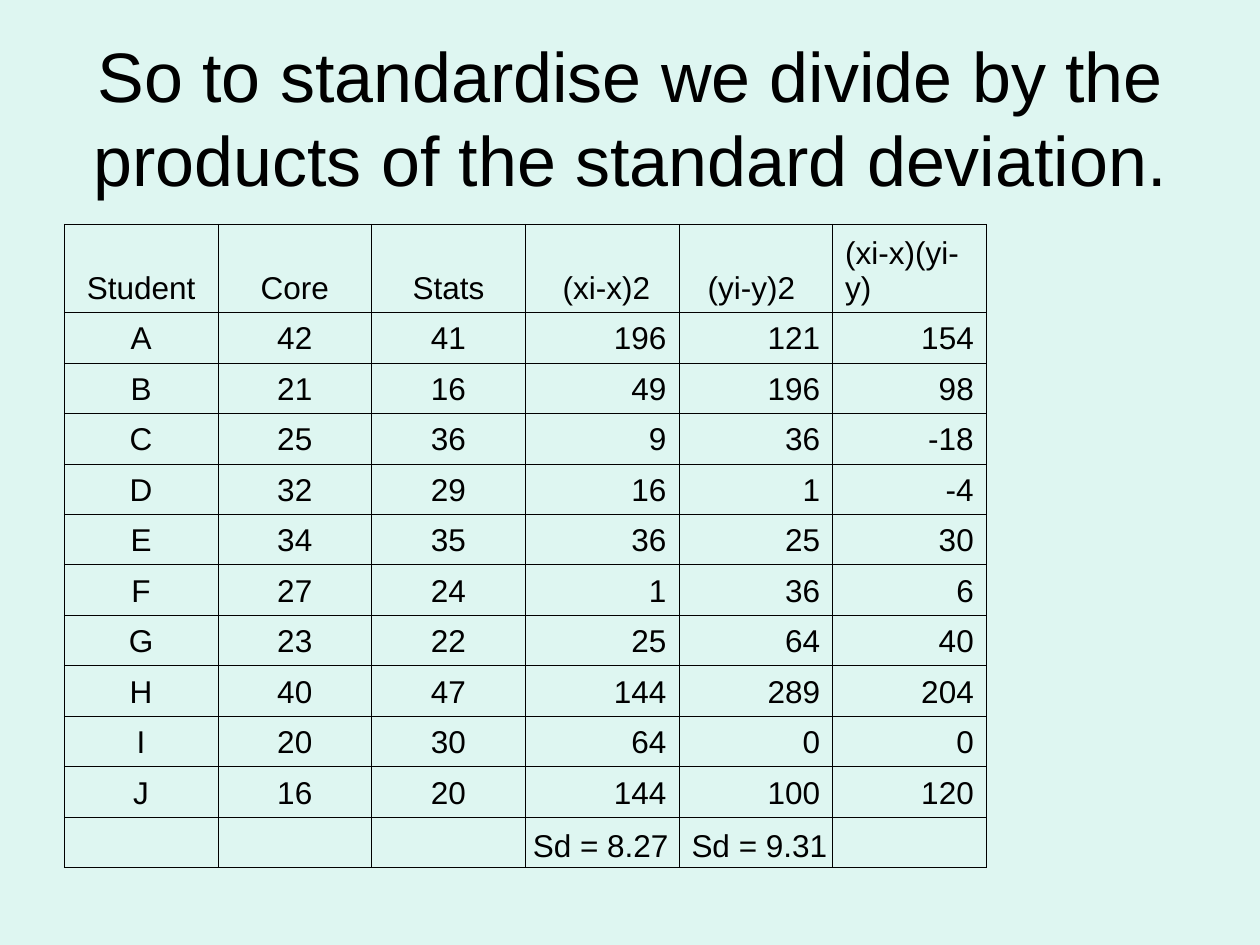
import lxml.etree
import pptx
import pptx.dml.color
import pptx.enum.text
import pptx.oxml.ns
import pptx.util

Inches = pptx.util.Inches
Align = pptx.enum.text.PP_ALIGN
Anchor = pptx.enum.text.MSO_ANCHOR

BACKGROUND = pptx.dml.color.RGBColor(0xDE, 0xF6, 0xF1)
BLACK = pptx.dml.color.RGBColor(0x00, 0x00, 0x00)

TITLE = "So to standardise we divide by the products of the standard deviation."
HEADINGS = ["Student", "Core", "Stats", " (xi-x)2", "(yi-y)2 ", "(xi-x)(yi-y) "]
HEADING_ALIGNMENTS = [Align.CENTER] * 5 + [Align.LEFT]
VALUE_ALIGNMENTS = [Align.CENTER] * 3 + [Align.RIGHT] * 3
SCORES = [
    ["A", 42, 41, 196, 121, 154],
    ["B", 21, 16, 49, 196, 98],
    ["C", 25, 36, 9, 36, -18],
    ["D", 32, 29, 16, 1, -4],
    ["E", 34, 35, 36, 25, 30],
    ["F", 27, 24, 1, 36, 6],
    ["G", 23, 22, 25, 64, 40],
    ["H", 40, 47, 144, 289, 204],
    ["I", 20, 30, 64, 0, 0],
    ["J", 16, 20, 144, 100, 120],
]


def write_text(text_frame, text, size=18, alignment=Align.LEFT):
    """Write one formatted paragraph into a text frame."""
    paragraph = text_frame.paragraphs[0]
    paragraph.alignment = alignment
    run = paragraph.add_run()
    run.text = text
    run.font.name = "Arial"
    run.font.size = pptx.util.Pt(size)
    run.font.bold = False
    run.font.color.rgb = BLACK


def add_label(slide, box, text, anchor=Anchor.TOP, **text_format):
    """Add a wrapping text box that fills the given box."""
    text_frame = slide.shapes.add_textbox(*map(Inches, box)).text_frame
    text_frame.word_wrap = True
    text_frame.vertical_anchor = anchor
    write_text(text_frame, text, **text_format)


def set_cell_borders(cell):
    """Draw a thin black line on every side of a cell."""
    properties = cell._tc.get_or_add_tcPr()
    qn = pptx.oxml.ns.qn
    for position, side in enumerate(("a:lnL", "a:lnR", "a:lnT", "a:lnB")):
        line = lxml.etree.Element(qn(side), w=str(pptx.util.Pt(0.45)))
        fill = lxml.etree.SubElement(line, qn("a:solidFill"))
        lxml.etree.SubElement(fill, qn("a:srgbClr"), val=str(BLACK))
        properties.insert(position, line)


def add_score_table(slide, box):
    """Add the table of scores, with an empty last row for the deviations."""
    left, top, width, height = box
    header_height = 0.7
    rows = [HEADINGS, *SCORES, [""] * len(HEADINGS)]
    table = slide.shapes.add_table(
        len(rows), len(HEADINGS), *map(Inches, box)
    ).table
    table.first_row = False
    table.horz_banding = False
    for column in table.columns:
        column.width = Inches(width / len(HEADINGS))
    for row_index, values in enumerate(rows):
        is_header = row_index == 0
        row_height = header_height if is_header else (height - header_height) / (len(rows) - 1)
        table.rows[row_index].height = Inches(row_height)
        alignments = HEADING_ALIGNMENTS if is_header else VALUE_ALIGNMENTS
        for column_index, (value, alignment) in enumerate(zip(values, alignments)):
            cell = table.cell(row_index, column_index)
            cell.fill.background()
            cell.vertical_anchor = Anchor.BOTTOM
            set_cell_borders(cell)
            if value != "":
                write_text(cell.text_frame, str(value), alignment=alignment)


def main():
    """Build and save the slide."""
    presentation = pptx.Presentation()
    presentation.slide_width = Inches(10)
    presentation.slide_height = Inches(7.5)
    slide = presentation.slides.add_slide(presentation.slide_layouts[6])
    slide.background.fill.solid()
    slide.background.fill.fore_color.rgb = BACKGROUND
    add_label(slide, (0.5, 0.3, 9, 1.25), TITLE,
              anchor=Anchor.MIDDLE, size=40, alignment=Align.CENTER)
    add_score_table(slide, (0.51, 1.78, 7.32, 5.1))
    add_label(slide, (4.13, 6.51, 1.65, 0.4), "Sd = 8.27")
    add_label(slide, (5.39, 6.51, 1.34, 0.4), "Sd = 9.31")
    presentation.save("out.pptx")


if __name__ == "__main__":
    main()
